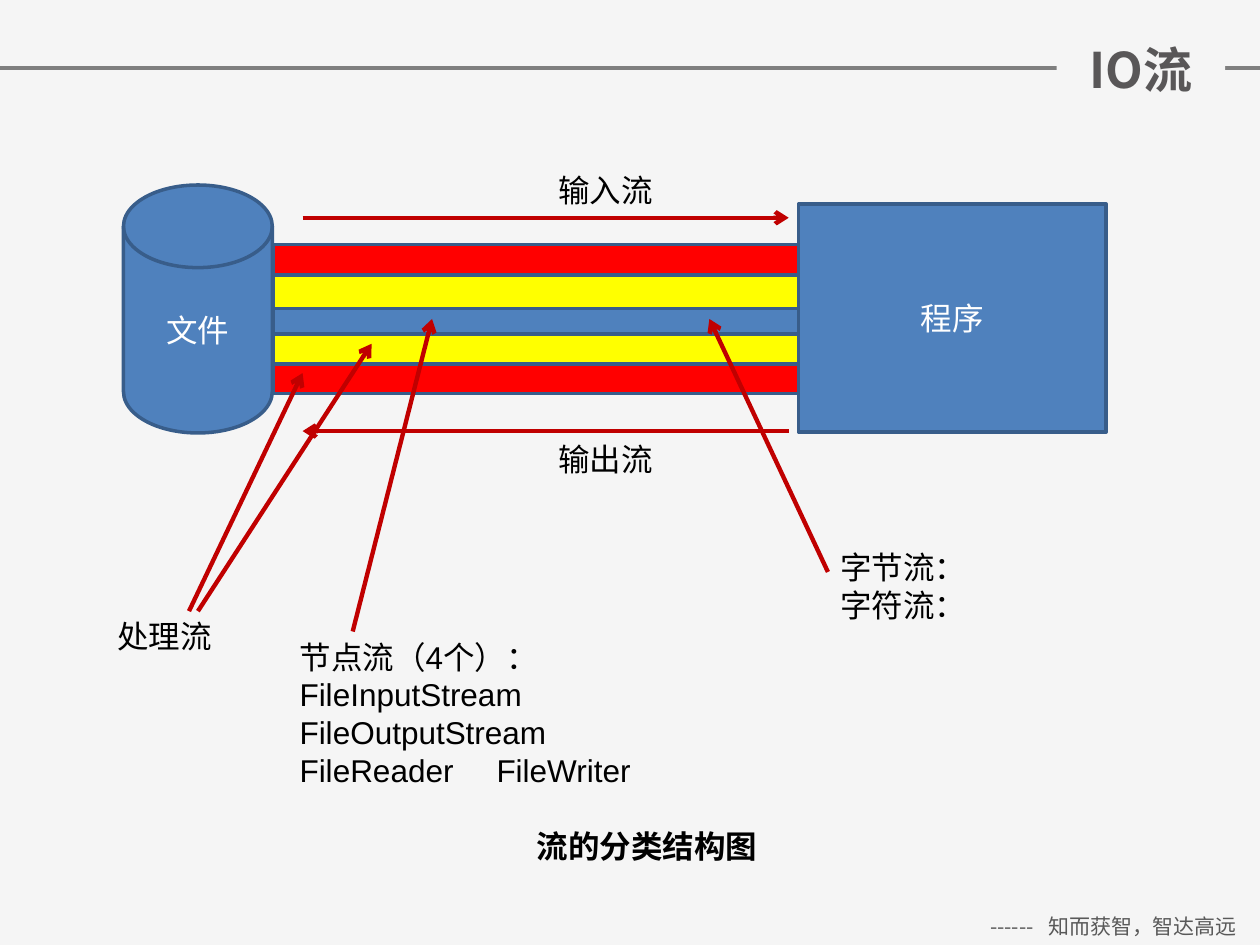
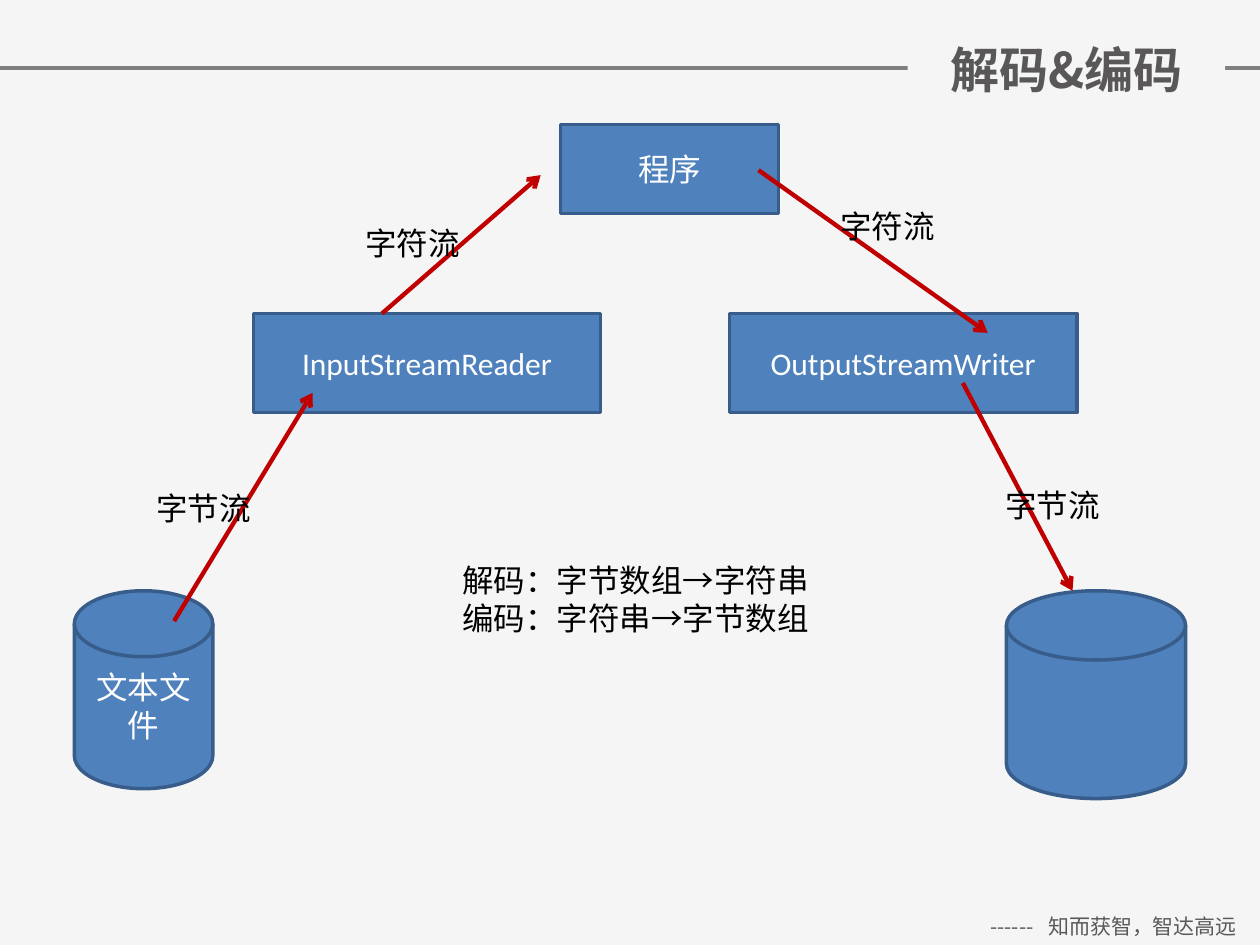
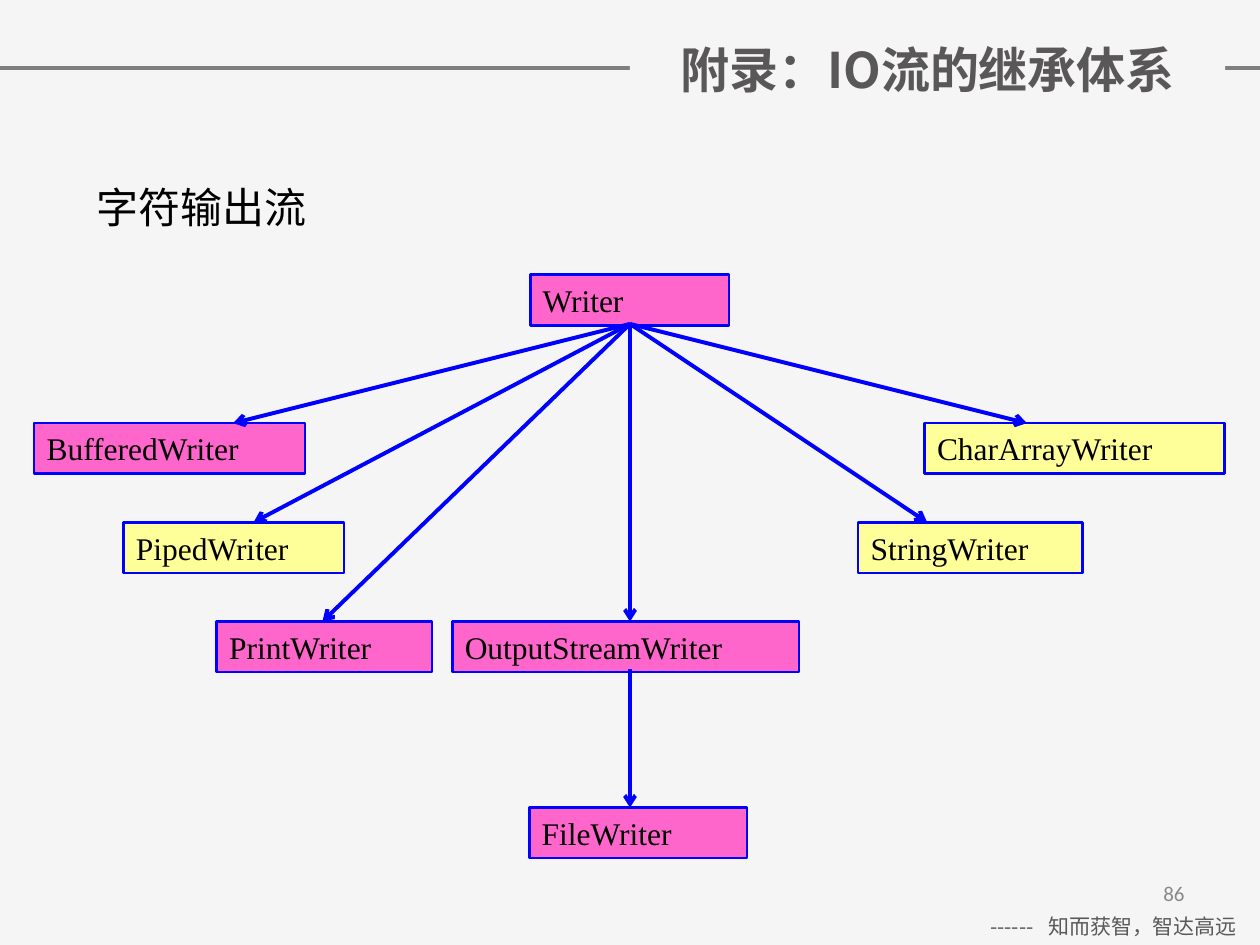
"""Build three slides on IO streams: stream structure, decoding and the Writer hierarchy."""

from dataclasses import dataclass

from lxml import etree
from pptx import Presentation
from pptx.dml.color import RGBColor
from pptx.enum.shapes import MSO_CONNECTOR, MSO_SHAPE
from pptx.enum.text import MSO_ANCHOR, PP_ALIGN
from pptx.oxml.ns import qn
from pptx.util import Cm, Pt

RECT = MSO_SHAPE.RECTANGLE
DISK = MSO_SHAPE.FLOWCHART_MAGNETIC_DISK
STRAIGHT = MSO_CONNECTOR.STRAIGHT
LEFT, CENTER, RIGHT = PP_ALIGN.LEFT, PP_ALIGN.CENTER, PP_ALIGN.RIGHT
TOP, MIDDLE = MSO_ANCHOR.TOP, MSO_ANCHOR.MIDDLE

COLORS = {
    "paper": "F5F5F5", "rule": "7F7F7F", "title": "595758", "footer": "595959",
    "number": "898989", "white": "FFFFFF", "black": "000000", "blue": "4F81BD",
    "outline": "385D8A", "red": "FF0000", "yellow": "FFFF00", "flow": "C00000",
    "pink": "FF66CC", "cream": "FFFF99", "link": "0000FF",
}

FONTS = {
    "title": {"name": "Noto Sans CJK SC", "size": Pt(28), "bold": True},
    "footer": {"name": "Noto Sans CJK SC", "size": Pt(12)},
    "number": {"name": "Calibri", "size": Pt(12)},
    "node": {"name": "Calibri", "size": Pt(18)},
    "label": {"name": "Arial", "size": Pt(18)},
    "caption": {"name": "Arial", "size": Pt(18), "bold": True},
    "class": {"name": "Times New Roman", "size": Pt(18)},
    "heading": {"name": "Times New Roman", "size": Pt(24)},
}
INKS = {"title": "title", "footer": "footer", "number": "number", "node": "white"}
ALIGNS = {"title": CENTER, "node": CENTER, "caption": CENTER, "number": RIGHT}
FRAMES = {
    "title": {"vertical_anchor": MIDDLE},
    "node": {"vertical_anchor": MIDDLE},
    "number": {"vertical_anchor": MIDDLE},
    "footer": {"margin_left": Cm(0.45), "margin_right": 0},
}

SLIDE_WIDTH, SLIDE_HEIGHT = 25.4, 19.05
TITLE_RIGHT = 24.7
RULE_TOP = 1.37
LINE_HEIGHT, PADDING = 0.76, 0.26
CLASS_HEIGHT = 1.02
TRUNK_X = 12.7


@dataclass(frozen=True)
class Node:
    x: float
    y: float
    w: float
    h: float
    text: str = ""
    fill: str = "blue"
    outline: str = "outline"
    weight: float = 2
    kind: int = RECT
    style: str = "node"


@dataclass(frozen=True)
class Label:
    x: float
    y: float
    w: float
    text: str
    style: str = "label"
    h: float = 0
    tab: float = 0


@dataclass(frozen=True)
class Line:
    x1: float
    y1: float
    x2: float
    y2: float
    color: str = "flow"
    weight: float = 2.5
    arrow: bool = True


@dataclass(frozen=True)
class Subclass:
    name: str
    x: float
    w: float
    level: int
    tip: float
    fill: str


def rgb(name: str) -> RGBColor:
    return RGBColor.from_string(COLORS[name])


def apply(target, values: dict) -> None:
    for attribute, value in values.items():
        setattr(target, attribute, value)


def write(frame, text: str, style: str, tab: float = 0) -> None:
    apply(frame, {"word_wrap": True, "vertical_anchor": TOP, **FRAMES.get(style, {})})
    frame.text = text
    for paragraph in frame.paragraphs:
        if tab:
            stops = etree.SubElement(paragraph._p.get_or_add_pPr(), qn("a:tabLst"))
            etree.SubElement(stops, qn("a:tab"), pos=str(Cm(tab)), algn="l")
        paragraph.alignment = ALIGNS.get(style, LEFT)
        for run in paragraph.runs:
            apply(run.font, FONTS[style])
            run.font.color.rgb = rgb(INKS.get(style, "black"))


def draw_node(slide, node: Node) -> None:
    shape = slide.shapes.add_shape(node.kind, Cm(node.x), Cm(node.y), Cm(node.w), Cm(node.h))
    shape.shadow.inherit = False
    shape.fill.solid()
    shape.fill.fore_color.rgb = rgb(node.fill)
    if node.weight:
        shape.line.color.rgb = rgb(node.outline)
        shape.line.width = Pt(node.weight)
    else:
        shape.line.fill.background()
    if node.text:
        write(shape.text_frame, node.text, node.style)


def draw_label(slide, label: Label) -> None:
    height = label.h or PADDING + LINE_HEIGHT * len(label.text.split("\n"))
    box = slide.shapes.add_textbox(Cm(label.x), Cm(label.y), Cm(label.w), Cm(height))
    write(box.text_frame, label.text, label.style, label.tab)


def draw_line(slide, line: Line) -> None:
    connector = slide.shapes.add_connector(
        STRAIGHT, Cm(line.x1), Cm(line.y1), Cm(line.x2), Cm(line.y2))
    connector.line.color.rgb = rgb(line.color)
    connector.line.width = Pt(line.weight)
    if line.arrow:
        etree.SubElement(connector.line._get_or_add_ln(), qn("a:tailEnd"), type="arrow")
    etree.SubElement(connector._element.spPr, qn("a:effectLst"))


def add_slide(prs, title: str, title_width: float, nodes: list[Node],
              lines: list[Line], labels: list[Label]) -> None:
    slide = prs.slides.add_slide(prs.slide_layouts[6])
    slide.background.fill.solid()
    slide.background.fill.fore_color.rgb = rgb("paper")
    draw_line(slide, Line(0, RULE_TOP, SLIDE_WIDTH, RULE_TOP, "rule", 2, False))
    draw_label(slide, Label(19.51, 18.29, 5.89, "------\t知而获智，智达高远", "footer", 0.76, 1.17))
    draw_node(slide, Node(TITLE_RIGHT - title_width, 0.66, title_width, 1.45, title,
                          "paper", weight=0, style="title"))
    for draw, items in ((draw_node, nodes), (draw_line, lines), (draw_label, labels)):
        for item in items:
            draw(slide, item)


def add_structure(prs) -> None:
    bands = [("red", 4.93, 3), ("yellow", 5.54, 1.8), ("blue", 6.22, 0.51)]
    nodes = [Node(5.5, y, 10.6, h, fill=fill) for fill, y, h in bands]
    nodes += [
        Node(2.49, 3.73, 3, 5, "文件", kind=DISK),
        Node(16.1, 4.11, 6.2, 4.6, "程序"),
    ]
    lines = [
        Line(6.1, 4.39, 15.9, 4.39),
        Line(15.9, 8.69, 6.1, 8.69),
        Line(16.69, 11.53, 14.3, 6.43),
        Line(7.11, 12.73, 8.71, 6.43),
        Line(3.99, 12.32, 7.49, 6.93),
        Line(3.81, 12.32, 6.1, 7.52),
    ]
    labels = [
        Label(11, 3.33, 4.9, "输入流"),
        Label(11, 8.74, 3.71, "输出流"),
        Label(16.69, 10.92, 5.59, "字节流：\n字符流："),
        Label(5.79, 12.73, 10.41, "节点流（4个）：\nFileInputStream\nFileOutputStream\n"
              "FileReader\tFileWriter", tab=3.97),
        Label(2.11, 12.32, 3.4, "处理流"),
        Label(5.79, 16.54, 14.5, "流的分类结构图", "caption"),
    ]
    add_slide(prs, "IO流", 3.4, nodes, lines, labels)


def add_decoding(prs) -> None:
    nodes = [
        Node(1.5, 11.91, 2.79, 3.99, "文本文件", kind=DISK),
        Node(5.11, 6.32, 7, 2, "InputStreamReader"),
        Node(11.3, 2.51, 4.4, 1.8, "程序"),
        Node(14.71, 6.32, 7, 2, "OutputStreamWriter"),
        Node(20.29, 11.91, 3.61, 4.19, kind=DISK),
    ]
    lines = [
        Line(3.51, 12.52, 6.3, 7.92),
        Line(7.7, 6.32, 10.9, 3.53),
        Line(15.29, 3.43, 19.91, 6.71),
        Line(19.41, 7.72, 21.62, 11.91),
    ]
    labels = [
        Label(2.9, 9.73, 3.4, "字节流"),
        Label(7.11, 4.39, 3.81, "字符流"),
        Label(16.69, 4.04, 4.19, "字符流"),
        Label(20.02, 9.68, 3.2, "字节流"),
        Label(9.07, 11.18, 9.19, "解码：字节数组→字符串\n编码：字符串→字节数组"),
    ]
    add_slide(prs, "解码&编码", 6.4, nodes, lines, labels)


def class_node(name: str, x: float, y: float, w: float, fill: str) -> Node:
    return Node(x, y, w, CLASS_HEIGHT, name, fill, "link", 1.5, style="class")


def add_hierarchy(prs) -> None:
    subclasses = [
        Subclass("BufferedWriter", 0.69, 5.46, 0, 4.7, "pink"),
        Subclass("CharArrayWriter", 18.64, 6.05, 0, 20.7, "cream"),
        Subclass("StringWriter", 17.3, 4.52, 1, 18.69, "cream"),
        Subclass("PipedWriter", 2.49, 4.45, 1, 5.11, "cream"),
        Subclass("PrintWriter", 4.37, 4.34, 2, 6.5, "pink"),
        Subclass("OutputStreamWriter", 9.12, 6.99, 2, TRUNK_X, "pink"),
    ]
    nodes = [
        class_node("Writer", 10.69, 5.54, 4.01, "pink"),
        class_node("FileWriter", 10.67, 16.28, 4.39, "pink"),
    ]
    lines = [Line(TRUNK_X, 13.49, TRUNK_X, 16.28, "link", 2.25)]
    for sub in subclasses:
        top = 8.53 + 2 * sub.level
        nodes.append(class_node(sub.name, sub.x, top, sub.w, sub.fill))
        lines.append(Line(TRUNK_X, 6.53, sub.tip, top, "link", 2.25))
    labels = [
        Label(1.7, 3.53, 5, "字符输出流", "heading", 1.27),
        Label(18.21, 17.35, 5.92, "86", "number", 1.32),
    ]
    add_slide(prs, "附录：IO流的继承体系", 12, nodes, lines, labels)


def main() -> None:
    prs = Presentation()
    prs.slide_width, prs.slide_height = Cm(SLIDE_WIDTH), Cm(SLIDE_HEIGHT)
    add_structure(prs)
    add_decoding(prs)
    add_hierarchy(prs)
    prs.save("out.pptx")


if __name__ == "__main__":
    main()
